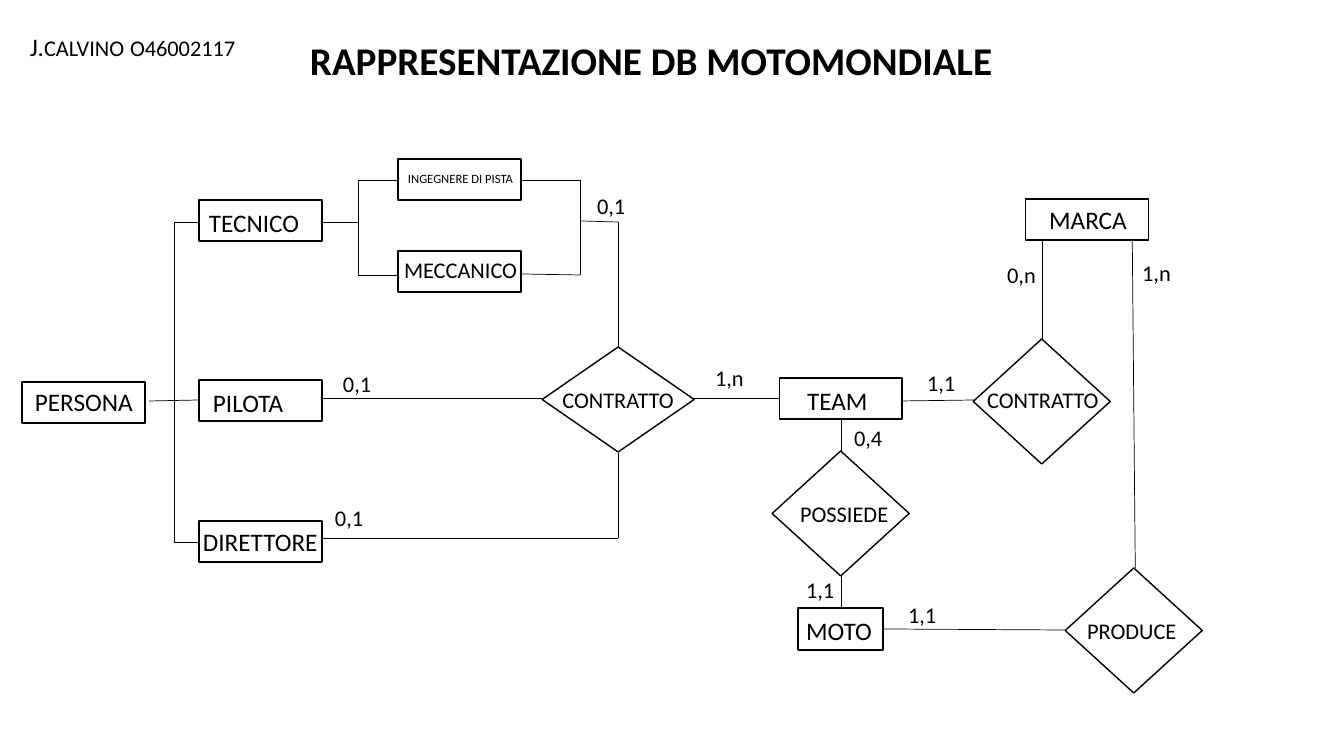
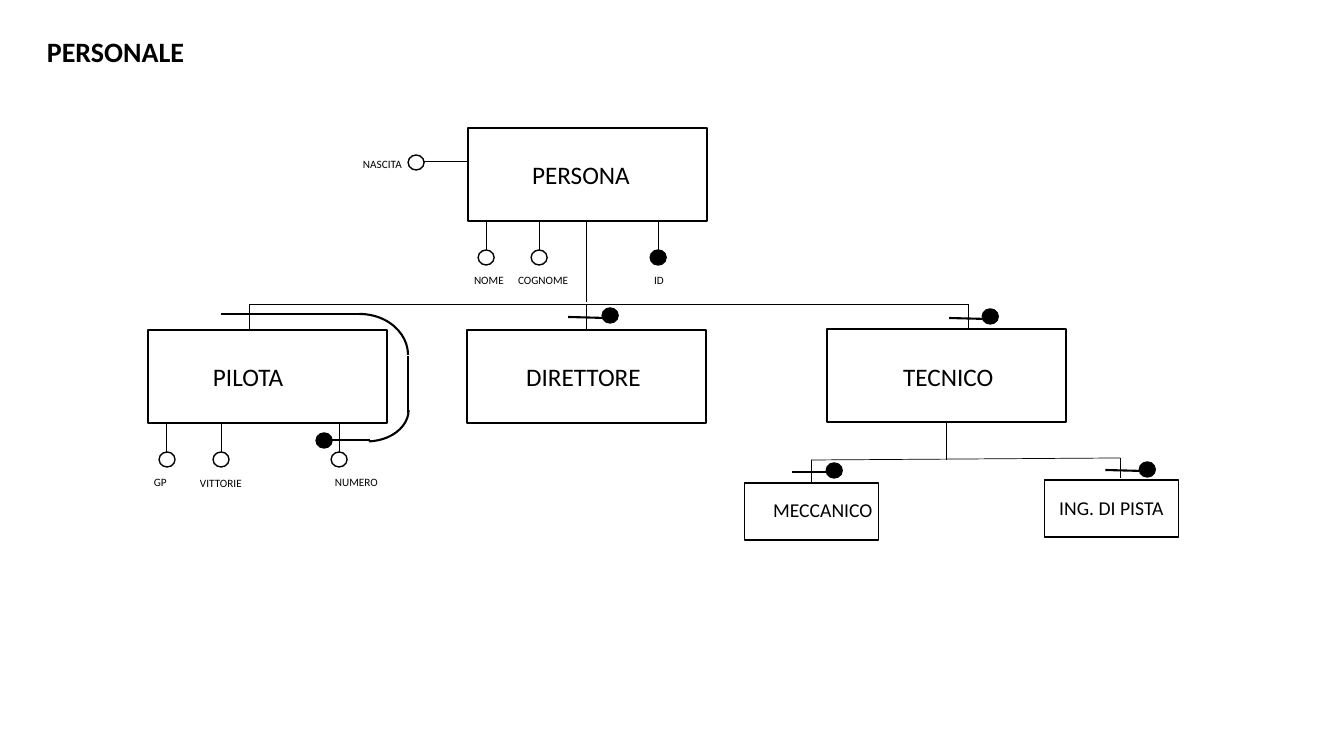
from pptx import Presentation
from pptx import util as u
from pptx.dml.color import RGBColor
from pptx.enum import shapes, text
from pptx.oxml import parse_xml
from pptx.oxml.ns import nsdecls

BLACK = RGBColor(0, 0, 0)
FONT = "Calibri"
SCALE = 914400 / 100.8
RECT = shapes.MSO_SHAPE.RECTANGLE
DIAMOND = shapes.MSO_SHAPE.DIAMOND
OVAL = shapes.MSO_SHAPE.OVAL
ARC = shapes.MSO_SHAPE.ARC
LEFT, CENTER = text.PP_ALIGN.LEFT, text.PP_ALIGN.CENTER


def write(slide, words, size, x, y, w, h, align=LEFT):
    box = slide.shapes.add_textbox(*[round(n * SCALE) for n in (x, y, w, h)])
    box.text_frame.word_wrap = True
    para = box.text_frame.paragraphs[0]
    para.text = words
    para.alignment = align
    para.font.name = FONT
    para.font.size = u.Pt(size)
    para.font.color.rgb = BLACK
    return para


def draw(slide, kind, x, y, w, h, weight=1, solid=False):
    shape = slide.shapes.add_shape(kind, *[round(n * SCALE) for n in (x, y, w, h)])
    shape.shadow.inherit = False
    shape.line.color.rgb = BLACK
    shape.line.width = u.Pt(weight)
    if solid:
        shape.fill.solid()
        shape.fill.fore_color.rgb = BLACK
    else:
        shape.fill.background()
    return shape


schema = {
    "title": ("RAPPRESENTAZIONE DB MOTOMONDIALE", 28, 300, 37, 801, 49),
    "shapes": [
        (RECT, 123, 41, False, [
            (22, 382), (199, 200), (199, 380), (199, 521),
            (398, 159), (398, 251), (779, 378), (1025, 199)]),
        (RECT, 85, 42, False, [(798, 608)]),
        (DIAMOND, 152, 105, False, [(542, 347)]),
        (DIAMOND, 137, 125, False, [(772, 451), (973, 339), (1065, 568)]),
    ],
    "lines": [
        (0.5, [
            (174, 222, 174, 542), (149, 401, 199, 400),
            (174, 222, 199, 222), (174, 542, 199, 542),
            (322, 222, 358, 222), (358, 180, 358, 275),
            (358, 180, 398, 180), (358, 275, 398, 275),
            (580, 221, 618, 222), (580, 180, 580, 275),
            (522, 180, 580, 180), (522, 274, 580, 275),
            (618, 222, 618, 347), (542, 398, 322, 398),
            (618, 538, 321, 538), (618, 453, 618, 538),
            (779, 398, 694, 398), (841, 418, 841, 451),
            (841, 576, 841, 608), (1042, 241, 1042, 339),
            (1132, 239, 1135, 568), (974, 400, 901, 401),
            (1065, 630, 883, 629)]),
    ],
    "labels": [
        (18, 140, 40, LEFT, [
            ("PERSONA", 25, 381), ("TECNICO", 199, 202),
            ("PILOTA", 203, 382), ("DIRETTORE", 193, 521),
            ("MOTO", 796, 610), ("MARCA", 1039, 199), ("TEAM", 797, 380)]),
        (9, 140, 25, LEFT, [("INGEGNERE DI PISTA", 398, 166)]),
        (16, 178, 37, CENTER, [("CONTRATTO", 529, 381)]),
        (16, 186, 37, LEFT, [
            ("MECCANICO", 394, 251), ("POSSIEDE", 790, 495),
            ("CONTRATTO", 977, 381), ("PRODUCE", 1077, 612)]),
        (16, 90, 37, LEFT, [
            ("1,1", 898, 596), ("0,n", 997, 256), ("1,n", 1132, 254),
            ("0,1", 325, 499), ("1,1", 796, 571), ("0,4", 844, 419),
            ("1,1", 917, 364), ("0,1", 333, 365), ("0,1", 587, 187),
            ("1,n", 705, 359)]),
    ],
}

staff = {
    "title": ("PERSONALE", 20, 37, 33, 659, 49),
    "shapes": [
        (RECT, 239, 93, False, [(468, 128), (148, 330), (467, 330), (827, 329)]),
        (RECT, 134, 57, False, [(744, 483), (1044, 480)]),
        (OVAL, 16, 15, False, [
            (478, 250), (531, 250), (408, 155),
            (159, 452), (213, 452), (331, 452)]),
        (OVAL, 16, 15, True, [
            (650, 250), (316, 433), (602, 308),
            (982, 309), (826, 463), (1139, 462)]),
    ],
    "lines": [
        (0.5, [(x, 221, x, 250) for x in (486, 539, 658)]),
        (0.5, [(x, 422, x, 452) for x in (166, 221, 339)]),
        (0.5, [(x, 304, x, 330) for x in (249, 586, 968)]),
        (0.5, [
            (468, 161, 424, 161), (586, 221, 586, 302),
            (249, 304, 968, 304), (946, 421, 946, 460),
            (811, 460, 1120, 458), (811, 460, 811, 483),
            (1120, 458, 1120, 478)]),
        (1.5, [
            (221, 314, 360, 314), (408, 356, 408, 413),
            (322, 440, 370, 440), (568, 317, 606, 318),
            (949, 318, 987, 319), (792, 472, 831, 472),
            (1105, 470, 1143, 471)]),
    ],
    "labels": [
        (18, 171, 40, LEFT, [
            ("PERSONA", 522, 154), ("PILOTA", 203, 356),
            ("DIRETTORE", 516, 356), ("TECNICO", 893, 356)]),
        (14, 126, 34, LEFT, [("MECCANICO", 763, 493), ("ING. DI PISTA", 1049, 491)]),
        (8, 72, 24, LEFT, [
            ("NOME", 464, 268), ("COGNOME", 508, 268), ("ID", 644, 268),
            ("NASCITA", 353, 152), ("GP", 144, 470),
            ("VITTORIE", 190, 471), ("NUMERO", 325, 470)]),
    ],
}

deck = Presentation()
deck.slide_width, deck.slide_height = u.Inches(13.33), u.Inches(7.5)

for page in (schema, staff):
    slide = deck.slides.add_slide(deck.slide_layouts[6])
    title = write(slide, *page["title"])
    title.font.bold = True
    title.line_spacing = 0.9
    title.space_before = u.Pt(10)
    for weight, ends in page["lines"]:
        for end in ends:
            line = slide.shapes.add_connector(
                shapes.MSO_CONNECTOR.STRAIGHT, *[round(n * SCALE) for n in end])
            line.line.color.rgb = BLACK
            line.line.width = u.Pt(weight)
            line._element.spPr.append(parse_xml(f"<a:effectLst {nsdecls('a')}/>"))
    for kind, w, h, solid, spots in page["shapes"]:
        for x, y in spots:
            draw(slide, kind, x, y, w, h, solid=solid)
    for size, w, h, align, items in page["labels"]:
        for words, x, y in items:
            write(slide, words, size, x, y, w, h, align)

draw(slide, ARC, 311, 314, 97, 82, 1.5)
bend = draw(slide, ARC, 335, 368, 63, 84, 1.5)
bend.rotation = 90
bend.adjustments[0] = 162
bend.adjustments[1] = 213.62

author = write(deck.slides[0], "", 18, 20, 30, 248, 38)
author.line_spacing = 0.9
for words, size in (("J.", 18), ("CALVINO", 16), (" ", 18), ("O46002117", 16)):
    run = author.add_run()
    run.text = words
    run.font.size = u.Pt(size)

deck.save("out.pptx")
